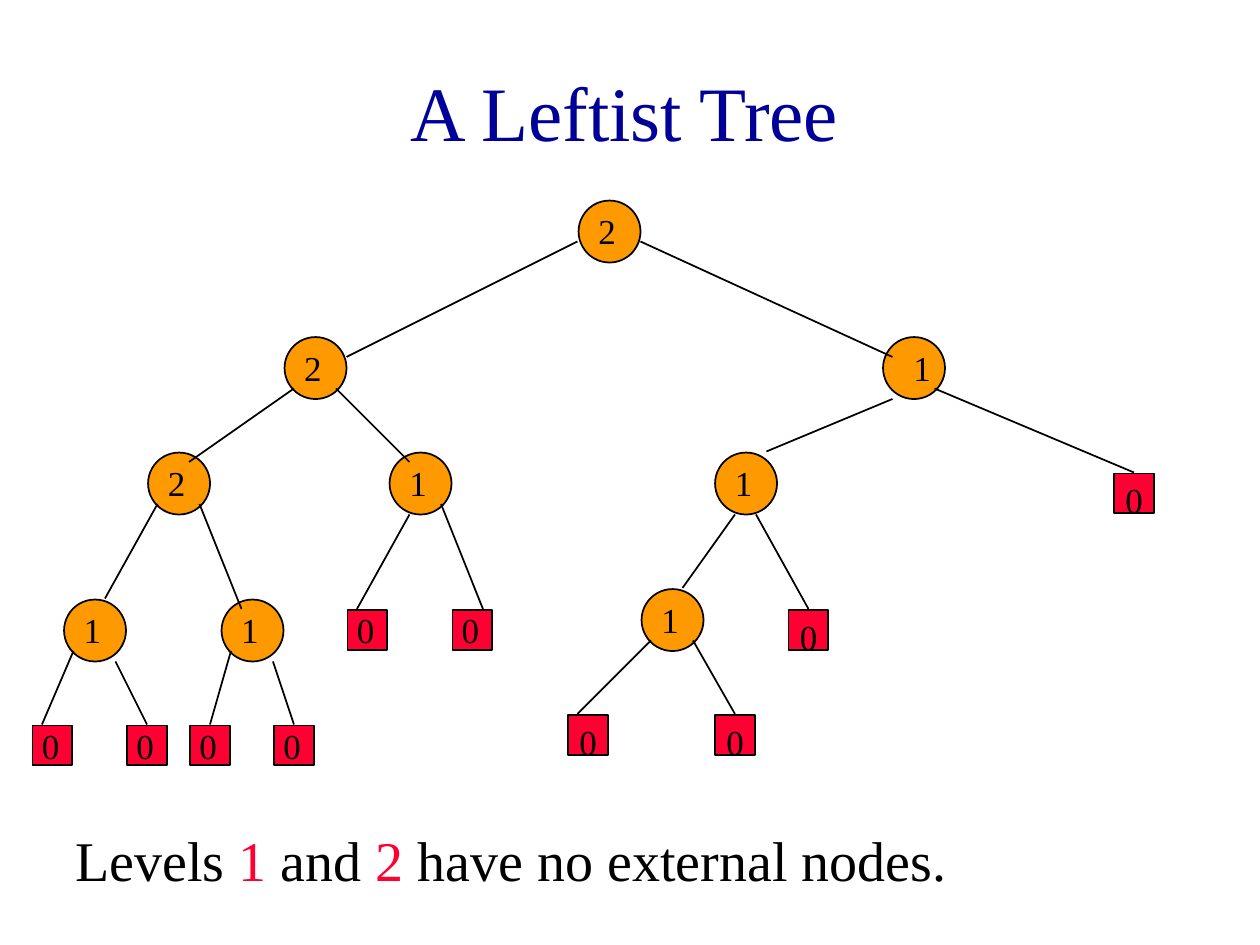
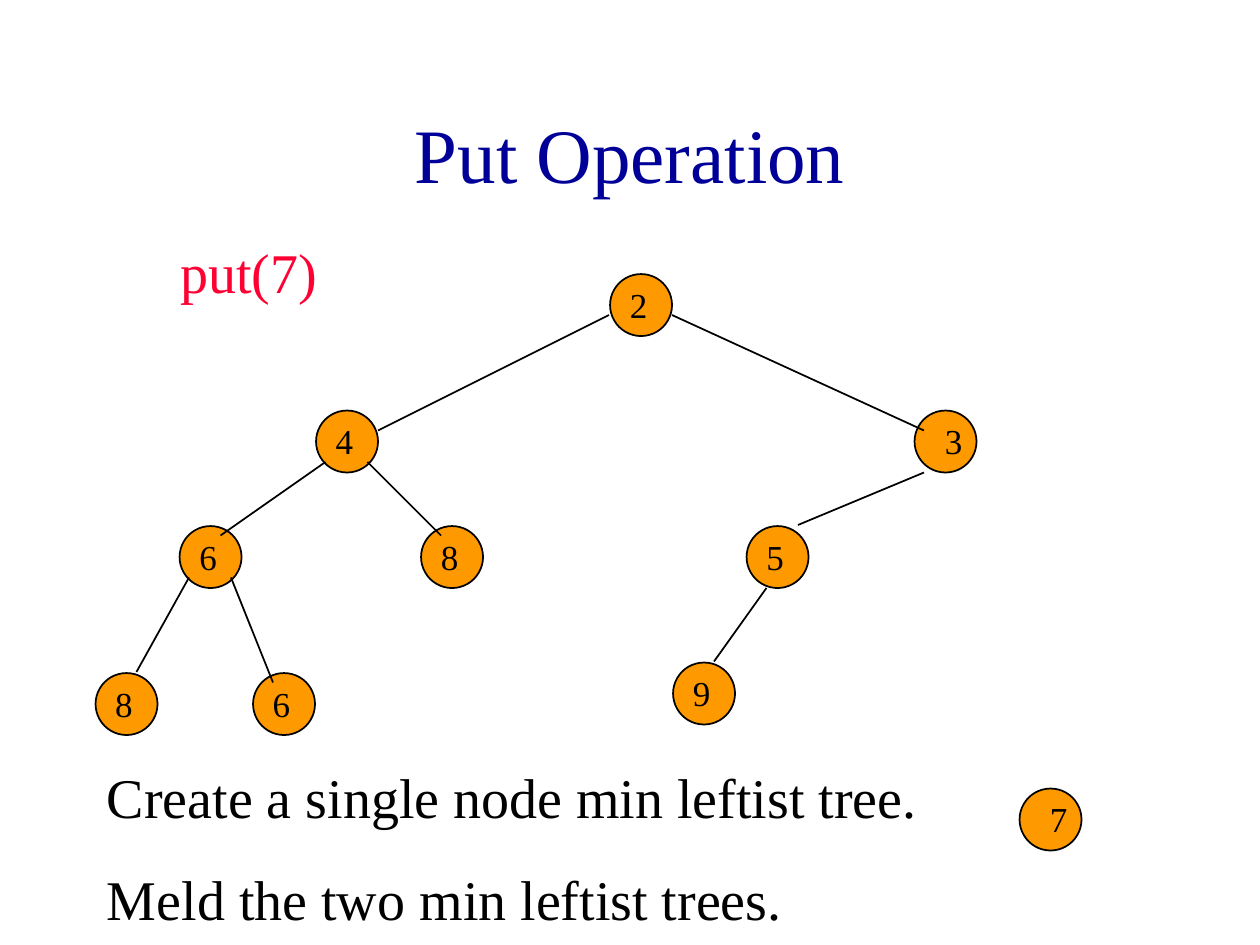
"""Build two slides on leftist trees: the tree with its levels, and the put operation."""
from dataclasses import dataclass

from lxml import etree
from pptx import Presentation
from pptx import util as u
from pptx.dml.color import RGBColor
from pptx.enum import shapes, text
from pptx.oxml.ns import qn

PX = 7620


@dataclass(frozen=True)
class Theme:
    font: str = "Times New Roman"
    title: RGBColor = RGBColor(0x00, 0x00, 0x99)
    ink: RGBColor = RGBColor(0x00, 0x00, 0x00)
    accent: RGBColor = RGBColor(0xFF, 0x00, 0x33)
    node: RGBColor = RGBColor(0xFF, 0x99, 0x00)
    title_pt: int = 44
    body_pt: int = 32
    label_pt: int = 20
    line_pt: int = 1


T = Theme()


def write(s, box, paras, size, before=0, wrap=True, centred=False):
    """Add a text box; each paragraph is a list of (text, colour) runs."""
    tf = s.shapes.add_textbox(*(v * PX for v in box)).text_frame
    tf.word_wrap = wrap
    if centred:
        tf.vertical_anchor = text.MSO_ANCHOR.MIDDLE
    else:
        tf.auto_size = text.MSO_AUTO_SIZE.SHAPE_TO_FIT_TEXT
    for i, runs in enumerate(paras):
        p = tf.add_paragraph() if i else tf.paragraphs[0]
        p.alignment = text.PP_ALIGN.CENTER if centred else text.PP_ALIGN.LEFT
        p.space_before = u.Pt(before)
        for words, colour in runs:
            r = p.add_run()
            r.text = words
            r.font.name, r.font.size = T.font, u.Pt(size)
            r.font.color.rgb = colour


def mark(s, kind, x, y, size, fill):
    """Add an outlined tree node, one px inside its grid cell."""
    sp = s.shapes.add_shape(kind, (x + 1) * PX, (y + 1) * PX, size * PX, size * PX)
    sp.shadow.inherit = False
    sp.fill.solid()
    sp.fill.fore_color.rgb = fill
    sp.line.color.rgb = T.ink
    sp.line.width = u.Pt(T.line_pt)


NODES = [(550, 190), (270, 320), (840, 320), (140, 430), (370, 430),
         (680, 430), (60, 570), (210, 570), (610, 560)]
EDGES = [(550, 230, 330, 340), (610, 230, 850, 340), (280, 370, 180, 440),
         (320, 370, 390, 440), (850, 380, 730, 430), (150, 480, 100, 570),
         (190, 480, 230, 580), (700, 490, 650, 560)]
LEFT_LEAVES = [(330, 580), (430, 580), (30, 690), (120, 690), (180, 690), (260, 690)]
RIGHT_LEAVES = [(540, 680), (680, 680), (750, 580), (1060, 450)]
LEAF_EDGES = [(390, 490, 340, 580), (420, 480, 460, 580), (70, 620, 40, 690),
              (110, 630, 140, 690), (220, 620, 200, 690), (260, 630, 280, 690),
              (720, 490, 770, 580), (890, 370, 1080, 450), (620, 610, 550, 680),
              (660, 610, 700, 680)]
NEW_NODE = (940, 680)
OFF_CENTRE = [(840, 320), NEW_NODE]

SLIDES = [
    dict(title="A Leftist Tree", title_box=(10, 30, 1170, 150), shift=(0, 0),
         values="221211111", nodes=NODES, edges=EDGES + LEAF_EDGES,
         left=LEFT_LEAVES, right=RIGHT_LEAVES, call=None,
         box=(60, 780, 1110, 76),
         body=[[("Levels ", T.ink), ("1 ", T.accent), ("and ", T.ink),
                ("2 ", T.accent), ("have no external nodes.", T.ink)]]),
    dict(title="Put Operation", title_box=(90, 70, 1020, 150), shift=(30, 70),
         values="2436858697", nodes=NODES + [NEW_NODE], edges=EDGES,
         left=[], right=[], call="put(7)",
         box=(90, 720, 1000, 174),
         body=[[("Create a single node min leftist tree.", T.ink)],
               [("Meld the two min leftist trees.", T.ink)]]),
]

prs = Presentation()
prs.slide_width, prs.slide_height = 1200 * PX, 900 * PX

for d in SLIDES:
    s = prs.slides.add_slide(prs.slide_layouts[6])
    dx, dy = d["shift"]
    write(s, d["title_box"], [[(d["title"], T.title)]], T.title_pt, centred=True)
    if d["call"]:
        write(s, (160, 220, 840, 230), [[(d["call"], T.accent)]], T.body_pt, before=8)

    for x, y in d["nodes"]:
        mark(s, shapes.MSO_SHAPE.OVAL, x + dx, y + dy, 59, T.node)
    for x, y in d["left"] + d["right"]:
        mark(s, shapes.MSO_SHAPE.RECTANGLE, x + dx, y + dy, 38, T.accent)

    for x1, y1, x2, y2 in d["edges"]:
        c = s.shapes.add_connector(shapes.MSO_CONNECTOR.STRAIGHT, (x1 + dx) * PX,
                                   (y1 + dy) * PX, (x2 + dx) * PX, (y2 + dy) * PX)
        c.line.color.rgb = T.ink
        c.line.width = u.Pt(T.line_pt)
        etree.SubElement(c._element.spPr, qn("a:effectLst"))

    for (x, y), value in zip(d["nodes"], d["values"]):
        inset = 18 if (x, y) in OFF_CENTRE else 8
        write(s, (x + dx + inset, y + dy + 4, 41, 52), [[(value, T.ink)]],
              T.label_pt, wrap=False)
    for x, y in d["left"]:
        write(s, (x + dx - 2, y + dy - 6, 41, 52), [[("0", T.ink)]], T.label_pt, wrap=False)
    for x, y in d["right"]:
        write(s, (x + dx, y + dy, 30, 52), [[("0", T.ink)]], T.label_pt, before=12.5)

    write(s, d["box"], d["body"], T.body_pt, before=20)

prs.save("out.pptx")
